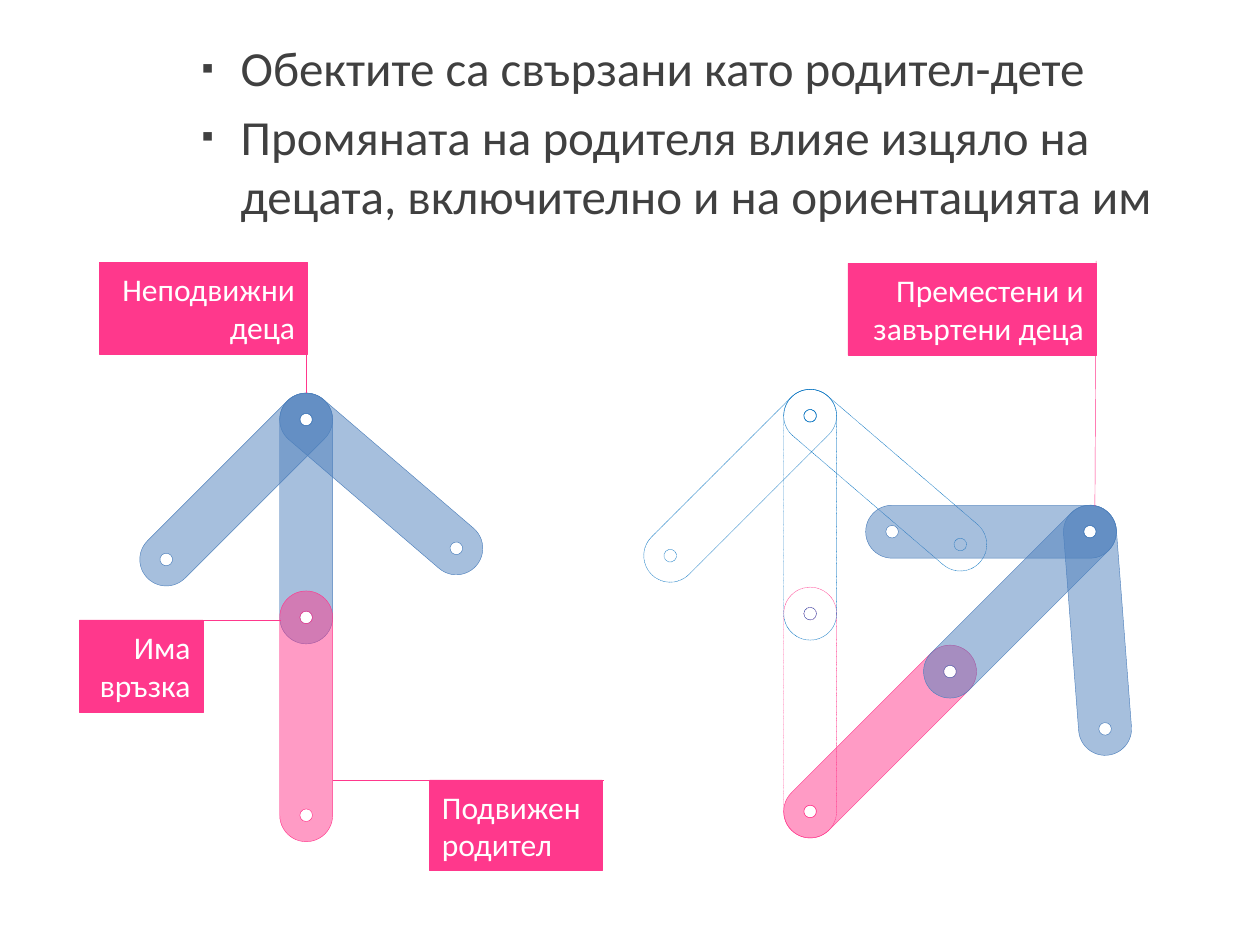
"""Build a slide on how moving a parent object carries its children along."""
from math import cos, radians, sin

from lxml.etree import SubElement
from pptx import Presentation
from pptx.dml.color import RGBColor
from pptx.enum.dml import MSO_LINE
from pptx.enum.shapes import MSO_CONNECTOR, MSO_SHAPE
from pptx.enum.text import MSO_ANCHOR, MSO_AUTO_SIZE, PP_ALIGN
from pptx.oxml.ns import qn
from pptx.util import Inches, Pt

PINK, BLUE, GHOST, GREY, WHITE = "FF388C", "4F81BD", "0070C0", "404040", "FFFFFF"


def paint(fill, color, alpha=100):
    fill.solid()
    fill.fore_color.rgb = RGBColor.from_string(color)
    if alpha < 100:
        clr = fill._xPr.find(qn("a:solidFill"))[0]
        SubElement(clr, qn("a:alpha"), val=str(alpha * 1000))


def half_turn(track, command, x, y, size, start):
    point = SubElement(track, qn(command))
    SubElement(point, qn("a:pt"), x=str(round(x * col)), y=str(round(y * col)))
    extent = str(round(size * col))
    SubElement(track, qn("a:arcTo"), wR=extent, hR=extent,
               stAng=str(start * 60000), swAng=str(180 * 60000))


prs = Presentation()
prs.slide_width, prs.slide_height = Inches(10), Inches(7.5)
col = prs.slide_width // 10
slide = prs.slides.add_slide(prs.slide_layouts[1])
title = slide.shapes.title._element
title.getparent().remove(title)

body = slide.placeholders[1]
place = {"left": 1, "top": 0.25, "width": 8.92, "height": 7.17}
for name, value in place.items():
    setattr(body, name, round(value * col))
tf = body.text_frame
for name, value in {"word_wrap": True, "auto_size": MSO_AUTO_SIZE.NONE,
                    "vertical_anchor": MSO_ANCHOR.TOP}.items():
    setattr(tf, name, value)
bullets = ["Обектите са свързани като родител-дете",
           "Промяната на родителя влияе изцяло на децата, включително и на ориентацията им"]
for i, text in enumerate(bullets):
    p = tf.add_paragraph() if i else tf.paragraphs[0]
    p.level = 1
    pPr = p._p.get_or_add_pPr()
    pPr.set("marL", str(round(0.81 * col)))
    pPr.set("indent", str(round(-0.31 * col)))
    SubElement(SubElement(pPr, qn("a:buClr")), qn("a:srgbClr"), val=GREY)
    SubElement(pPr, qn("a:buSzPct"), val="70000")
    SubElement(pPr, qn("a:buChar"), char="▪")
    p.space_before = Pt(5.6 * i)
    r = p.add_run()
    r.text = text
    for name, value in {"name": "Calibri", "size": Pt(28)}.items():
        setattr(r.font, name, value)
    paint(r.font.fill, GREY)

reach, radius, hole = 1.57, 0.21, 0.05
width, height = reach + 2 * radius, 2 * radius
figures = [(2.43, 6.47, 0, BLUE, True), (6.43, 6.44, 0, GHOST, False),
           (6.43, 6.44, 45, BLUE, True)]
for x, y, turn, child, solid in figures:
    up = radians(270 + turn)
    dx, dy = reach * cos(up), reach * sin(up)
    parts = [(0, 270, 1, PINK), (1, 270, 1, child), (2, 315, -1, child), (2, 40.6, 1, child)]
    if solid and not turn:
        parts[:2] = parts[1::-1]
    for joint, angle, side, color in parts:
        angle = (angle + turn) % 360
        left = x + joint * dx + side * reach / 2 * cos(radians(angle)) - width / 2
        top = y + joint * dy + side * reach / 2 * sin(radians(angle)) - height / 2
        fb = slide.shapes.build_freeform(round(left * col), round(top * col))
        fb.add_line_segments([(round((left + width) * col), round((top + height) * col))])
        s = fb.convert_to_shape()
        track = s._element.find(".//" + qn("a:path"))
        for step in list(track):
            track.remove(step)
        near, far = radius, radius + reach
        for start, end, size in [(near, far, radius), (near, near, hole), (far, far, hole)]:
            half_turn(track, "a:moveTo", end, radius - size, size, 270)
            half_turn(track, "a:lnTo", start, radius + size, size, 90)
            SubElement(track, qn("a:close"))
        s.shadow.inherit = False
        s.rotation = angle
        s.line.width = Pt(0.25)
        paint(s.line.fill, color)
        if solid:
            paint(s.fill, color, 50)
        else:
            s.fill.background()
            s.line.dash_style = MSO_LINE.ROUND_DOT

callouts = [
    ("Има връзка", (0.63, 4.92, 0.98, 0.73), (0.63, 4.92, 2.23, 4.92), PP_ALIGN.RIGHT),
    ("Подвижен родител", (3.41, 6.19, 1.37, 0.72), (2.64, 6.19, 4.79, 6.19), PP_ALIGN.LEFT),
    ("Преместени и завъртени деца", (6.73, 2.09, 1.97, 0.73), (8.7, 2.07, 8.69, 4.02),
     PP_ALIGN.RIGHT),
    ("Неподвижни деца", (0.79, 2.08, 1.65, 0.73), (2.43, 2.08, 2.43, 3.12), PP_ALIGN.RIGHT),
]
for text, box, ends, align in callouts:
    s = slide.shapes.add_shape(MSO_SHAPE.RECTANGLE, *[round(v * col) for v in box])
    s.shadow.inherit = False
    paint(s.fill, PINK)
    line = slide.shapes.add_connector(MSO_CONNECTOR.STRAIGHT, *[round(v * col) for v in ends])
    for item in (s, line):
        paint(item.line.fill, PINK)
        item.line.width = Pt(0.25)
    SubElement(line._element.spPr, qn("a:effectLst"))
    tf = s.text_frame
    tf.word_wrap = True
    tf.vertical_anchor = MSO_ANCHOR.MIDDLE
    p = tf.paragraphs[0]
    p.alignment = align
    r = p.add_run()
    r.text = text
    for name, value in {"name": "Calibri", "size": Pt(18)}.items():
        setattr(r.font, name, value)
    paint(r.font.fill, WHITE)

prs.save("out.pptx")
